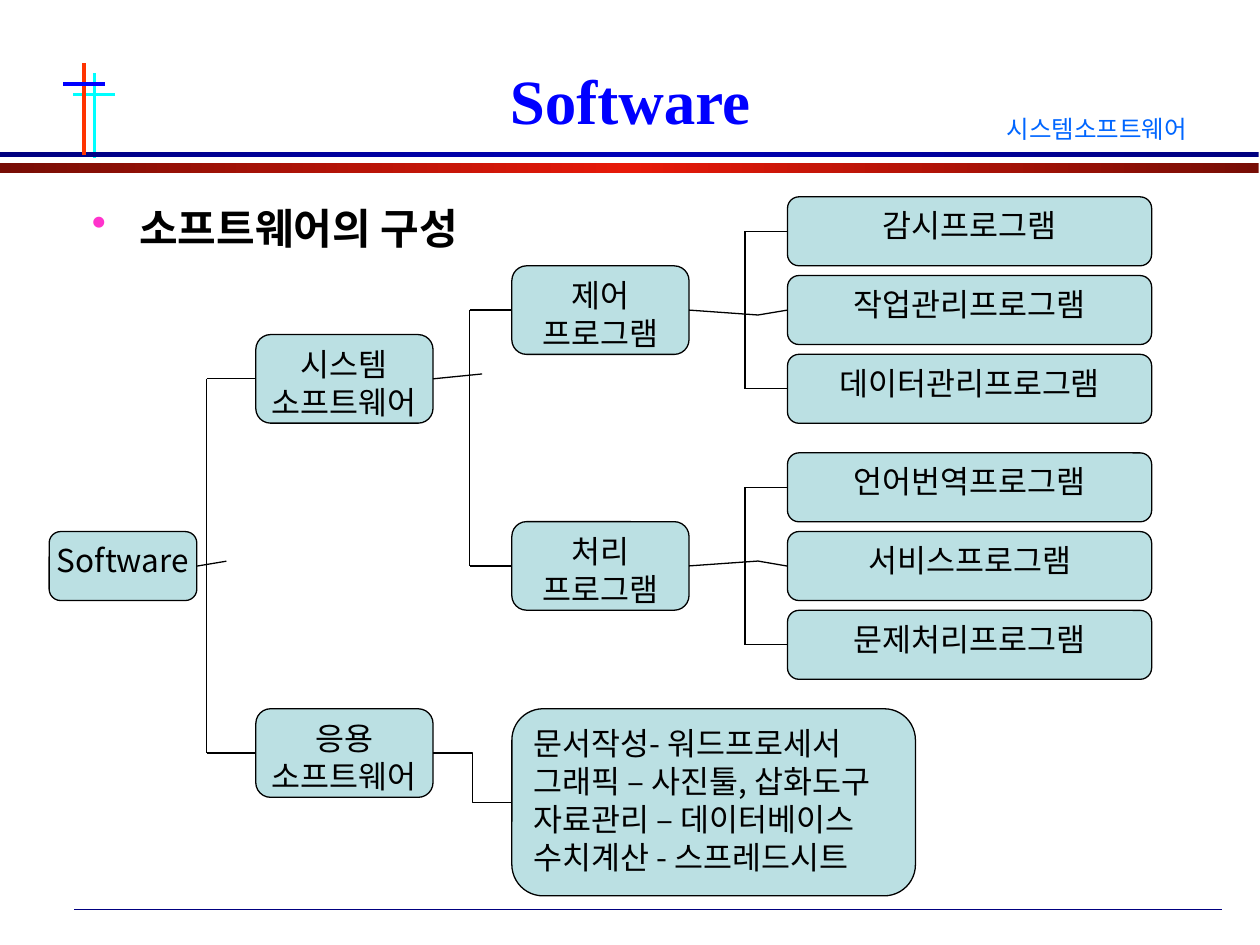
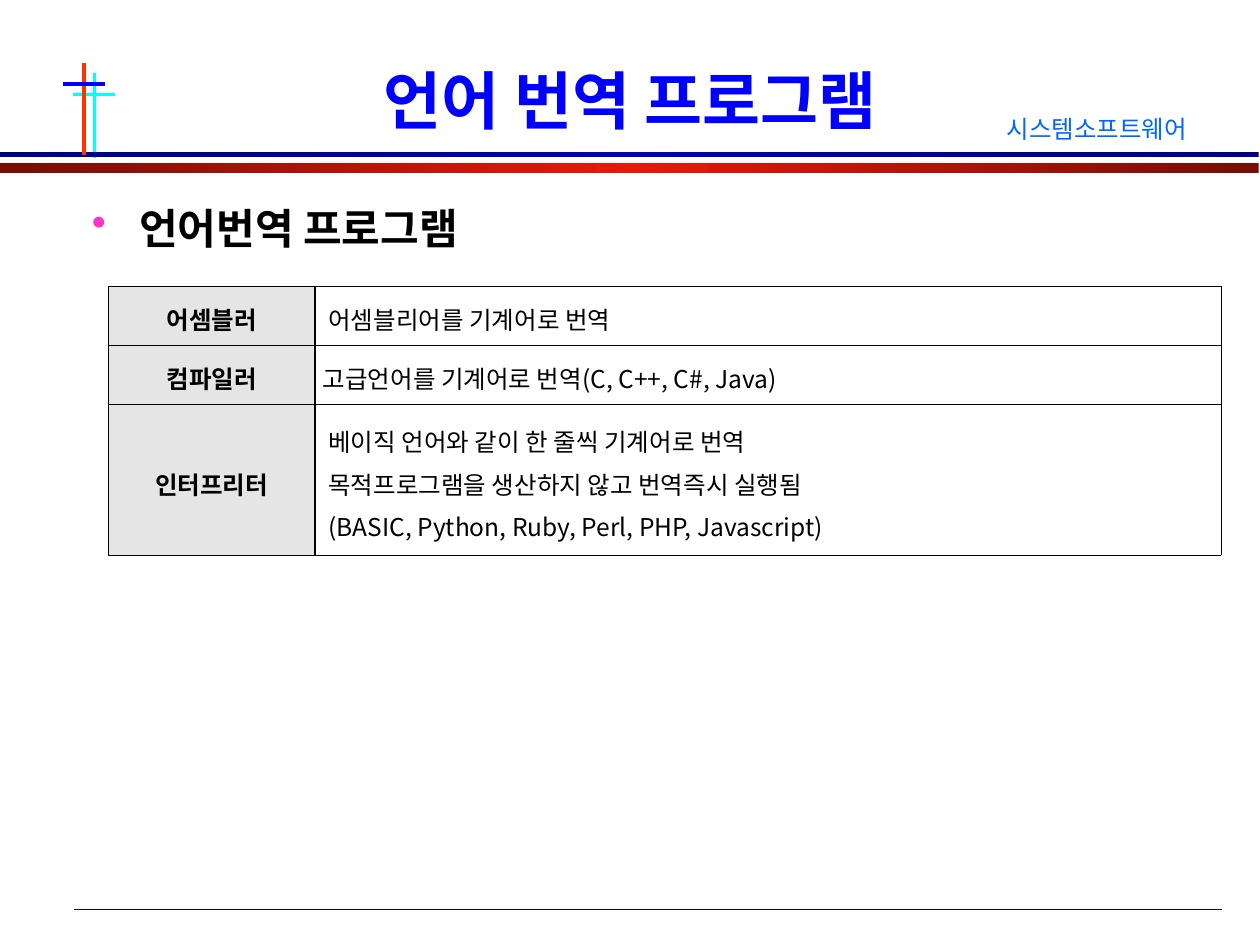
"""Build two slides on system software: its structure and its language translators."""
from copy import deepcopy
from dataclasses import dataclass

from lxml import etree
from pptx import Presentation
from pptx.dml.color import RGBColor
from pptx.enum.shapes import MSO_CONNECTOR, MSO_SHAPE
from pptx.enum.text import MSO_ANCHOR, PP_ALIGN
from pptx.oxml.ns import qn
from pptx.util import Pt

STRAIGHT, ELBOW = MSO_CONNECTOR.STRAIGHT, MSO_CONNECTOR.ELBOW
RECTANGLE, ROUNDED = MSO_SHAPE.RECTANGLE, MSO_SHAPE.ROUNDED_RECTANGLE
LEFT, CENTER, JUSTIFY = PP_ALIGN.LEFT, PP_ALIGN.CENTER, PP_ALIGN.JUSTIFY
TOP, MIDDLE = MSO_ANCHOR.TOP, MSO_ANCHOR.MIDDLE
LEFT_SIDE, RIGHT_SIDE = 1, 3


@dataclass(frozen=True)
class Theme:
    """Colours, fonts and type sizes."""
    title: str = "0000FF"
    label: str = "0066FF"
    ink: str = "000000"
    bullet: str = "FF33CC"
    node: str = "BBE0E3"
    header: str = "E5E5E5"
    paper: str = "FFFFFF"
    body_font: str = "Noto Sans CJK KR"
    title_font: str = "Times New Roman"
    title_size: int = 36
    heading_size: int = 24
    node_size: int = 18
    small_size: int = 14
    line_width: float = 0.75
    hairline: float = 0.11
    divider: float = 0.96


THEME = Theme()

COURSE = "시스템소프트웨어"
STRUCTURE = ("Software", "소프트웨어의 구성")
TRANSLATORS = ("언어 번역 프로그램", "언어번역 프로그램")

FRAME_LINES = [
    ((42.5, 519.8), (698.4, 519.8), "000080", 0.75),
    ((42, 54), (66, 54), "00FFFF", 2),
    ((54, 42), (54, 90), "00FFFF", 1.75),
    ((48, 36), (48, 88.5), "FF3300", 1.75),
    ((36, 48), (60, 48), "0000FF", 2),
]
BANDS = [
    (87, 3, "00007F", "0000B6"),
    (93, 6, "770D05", "E71909"),
]

BRANCH_SIZE, LEAF_SIZE = (101.25, 50.6), (208.1, 39.4)
BRANCHES = {
    "system": (146.2, 191.2, "시스템\n소프트웨어"),
    "application": (146.2, 405, "응용\n소프트웨어"),
    "control": (292.5, 151.9, "제어\n프로그램"),
    "processing": (292.5, 298.1, "처리\n프로그램"),
}
LEAF_LEFT, LEAF_STEP = 450, 45
LEAF_GROUPS = {
    "control": (112.5, ["감시프로그램", "작업관리프로그램", "데이터관리프로그램"]),
    "processing": (258.8, ["언어번역프로그램", "서비스프로그램", "문제처리프로그램"]),
}
APPLICATIONS = [
    "문서작성- 워드프로세서",
    "그래픽 – 사진툴, 삽화도구",
    "자료관리 – 데이터베이스",
    "수치계산 - 스프레드시트",
]

COLUMN_WIDTHS = [118.1, 517.7]
TRANSLATOR_ROWS = [
    (33.8, "어셈블러", 6.3, ["어셈블리어를 기계어로 번역"]),
    (33.8, "컴파일러", 3.1, ["고급언어를 기계어로 번역(C, C++, C#, Java)"]),
    (86.4, "인터프리터", 6.3, [
        "베이직 언어와 같이 한 줄씩 기계어로 번역",
        "목적프로그램을 생산하지 않고 번역즉시 실행됨",
        "(BASIC, Python, Ruby, Perl, PHP, Javascript)",
    ]),
]


def rgb(value):
    return RGBColor.from_string(value)


def points(*values):
    return [Pt(value) for value in values]


def style_text(text_frame, size, color=THEME.ink, bold=False, align=LEFT,
               font_name=THEME.body_font):
    for paragraph in text_frame.paragraphs:
        paragraph.alignment = align
        for run in paragraph.runs:
            font = run.font
            font.size, font.bold, font.name = Pt(size), bold, font_name
            font.color.rgb = rgb(color)
            east_asian = etree.SubElement(run._r.get_or_add_rPr(), qn("a:ea"))
            east_asian.set("typeface", THEME.body_font)


def add_text(slide, box, text, size, anchor=TOP, **style):
    text_frame = slide.shapes.add_textbox(*points(*box)).text_frame
    text_frame.word_wrap = True
    text_frame.vertical_anchor = anchor
    text_frame.text = text
    style_text(text_frame, size, **style)
    return text_frame


def add_line(slide, start, end, color=THEME.ink, width=THEME.line_width, kind=STRAIGHT):
    connector = slide.shapes.add_connector(kind, *points(*start, *end))
    connector.line.color.rgb = rgb(color)
    connector.line.width = Pt(width)
    etree.SubElement(connector._element.spPr, qn("a:effectLst"))
    return connector


def add_band(slide, top, height, edge, center):
    band = slide.shapes.add_shape(RECTANGLE, *points(0, top, 719.3, height))
    band.shadow.inherit = False
    band.line.fill.background()
    band.fill.gradient()
    band.fill.gradient_angle = 0
    stop_list = band._element.spPr.find(qn("a:gradFill")).find(qn("a:gsLst"))
    stop_list.insert(1, deepcopy(stop_list[0]))
    for stop, position, color in zip(band.fill.gradient_stops, (0, 0.5, 1), (edge, center, edge)):
        stop.position = position
        stop.color.rgb = rgb(color)


def add_base_slide(presentation, title, heading):
    slide = presentation.slides.add_slide(presentation.slide_layouts[6])
    for line in FRAME_LINES[:3]:
        add_line(slide, *line)
    for band in BANDS:
        add_band(slide, *band)
    for line in FRAME_LINES[3:]:
        add_line(slide, *line)
    add_text(slide, (110.9, 36, 498.2, 41.8), title, THEME.title_size, MIDDLE,
             color=THEME.title, bold=True, align=CENTER, font_name=THEME.title_font)
    add_text(slide, (568.1, 61.9, 146.2, 24.5), COURSE, THEME.small_size, color=THEME.label)
    body = add_text(slide, (45.4, 112.3, 658.1, 399.6), heading, THEME.heading_size, bold=True)
    paragraph = body.paragraphs[0]
    paragraph.space_before = Pt(6)
    properties = paragraph._p.get_or_add_pPr()
    properties.set("marL", str(Pt(27)))
    properties.set("indent", str(-Pt(27)))
    bullet_color = etree.SubElement(properties, qn("a:buClr"))
    etree.SubElement(bullet_color, qn("a:srgbClr")).set("val", THEME.bullet)
    etree.SubElement(properties, qn("a:buChar")).set("char", "•")
    return slide


def add_node(slide, left, top, size, text, align=CENTER):
    node = slide.shapes.add_shape(ROUNDED, *points(left, top, *size))
    node.shadow.inherit = False
    node.fill.solid()
    node.fill.fore_color.rgb = rgb(THEME.node)
    node.line.color.rgb = rgb(THEME.ink)
    node.line.width = Pt(THEME.line_width)
    text_frame = node.text_frame
    text_frame.word_wrap = False
    text_frame.vertical_anchor = TOP
    text_frame.text = text
    style_text(text_frame, THEME.node_size, align=align)
    return node


def left_middle(node):
    return node.left.pt, node.top.pt + node.height.pt / 2


def right_middle(node):
    return node.left.pt + node.width.pt, node.top.pt + node.height.pt / 2


def add_bracket(slide, first, last, depth):
    ends = [left_middle(node) for node in (first, last)]
    trunk = ends[0][0] - depth
    add_line(slide, (trunk, ends[0][1]), (trunk, ends[1][1]))
    for node, (left, middle) in zip((first, last), ends):
        add_line(slide, (trunk, middle), (left, middle)).end_connect(node, LEFT_SIDE)


def add_stem(slide, node, length, rise):
    right, middle = right_middle(node)
    tip = (right + length, middle + rise)
    add_line(slide, (right, middle), tip).begin_connect(node, RIGHT_SIDE)
    return tip


def build_structure(presentation):
    slide = add_base_slide(presentation, *STRUCTURE)
    root = add_node(slide, 28.1, 303.8, (84.4, LEAF_SIZE[1]), "Software")
    branches = {name: add_node(slide, left, top, BRANCH_SIZE, text)
                for name, (left, top, text) in BRANCHES.items()}
    groups = {name: [add_node(slide, LEAF_LEFT, top + index * LEAF_STEP, LEAF_SIZE, text)
                     for index, text in enumerate(texts)]
              for name, (top, texts) in LEAF_GROUPS.items()}
    examples = add_node(slide, 292.5, 405, (230.6, 106.9), "\n".join(APPLICATIONS), LEFT)

    add_bracket(slide, branches["system"], branches["application"], 28.1)
    add_stem(slide, root, 16.9, -2.8)
    add_bracket(slide, branches["control"], branches["processing"], 24.2)
    add_stem(slide, branches["system"], 28.1, -2.8)
    for (name, leaves), rise in zip(groups.items(), (2.8, -2.8)):
        add_bracket(slide, leaves[0], leaves[-1], 24.2)
        tip = add_stem(slide, branches[name], 39.4, rise)
        add_line(slide, tip, left_middle(leaves[1])).end_connect(leaves[1], LEFT_SIDE)

    application = branches["application"]
    elbow = add_line(slide, right_middle(application), left_middle(examples), kind=ELBOW)
    elbow.begin_connect(application, RIGHT_SIDE)
    elbow.end_connect(examples, LEFT_SIDE)


def set_borders(cell, left, right):
    properties = cell._tc.get_or_add_tcPr()
    widths = {"lnL": left, "lnR": right, "lnT": THEME.hairline, "lnB": THEME.hairline}
    for index, (tag, width) in enumerate(widths.items()):
        border = etree.Element(qn(f"a:{tag}"), w=str(Pt(width)))
        fill = etree.SubElement(border, qn("a:solidFill"))
        etree.SubElement(fill, qn("a:srgbClr")).set("val", THEME.ink)
        properties.insert(index, border)


def fill_cell(cell, text, color, bold, align, indent=0):
    cell.margin_left = cell.margin_right = Pt(1.4)
    cell.margin_top = cell.margin_bottom = Pt(3.6)
    cell.vertical_anchor = MIDDLE
    cell.fill.solid()
    cell.fill.fore_color.rgb = rgb(color)
    cell.text_frame.text = text
    style_text(cell.text_frame, THEME.small_size, bold=bold, align=align)
    for paragraph in cell.text_frame.paragraphs:
        paragraph.line_spacing = 1.2
        paragraph._p.get_or_add_pPr().set("marL", str(Pt(indent)))


def build_translators(presentation):
    slide = add_base_slide(presentation, *TRANSLATORS)
    height = sum(row[0] for row in TRANSLATOR_ROWS)
    table = slide.shapes.add_table(len(TRANSLATOR_ROWS), len(COLUMN_WIDTHS),
                                   *points(61.9, 163.4, sum(COLUMN_WIDTHS), height)).table
    table.first_row = table.horz_banding = False
    for column, width in zip(table.columns, COLUMN_WIDTHS):
        column.width = Pt(width)
    for row, (row_height, name, indent, lines) in zip(table.rows, TRANSLATOR_ROWS):
        row.height = Pt(row_height)
        name_cell, detail_cell = row.cells
        fill_cell(name_cell, name, THEME.header, True, CENTER)
        fill_cell(detail_cell, "\n".join(lines), THEME.paper, False, JUSTIFY, indent)
        set_borders(name_cell, THEME.hairline, THEME.divider)
        set_borders(detail_cell, THEME.divider, THEME.hairline)


def main():
    presentation = Presentation()
    presentation.slide_width, presentation.slide_height = points(720, 540)
    build_structure(presentation)
    build_translators(presentation)
    presentation.save("out.pptx")


if __name__ == "__main__":
    main()
